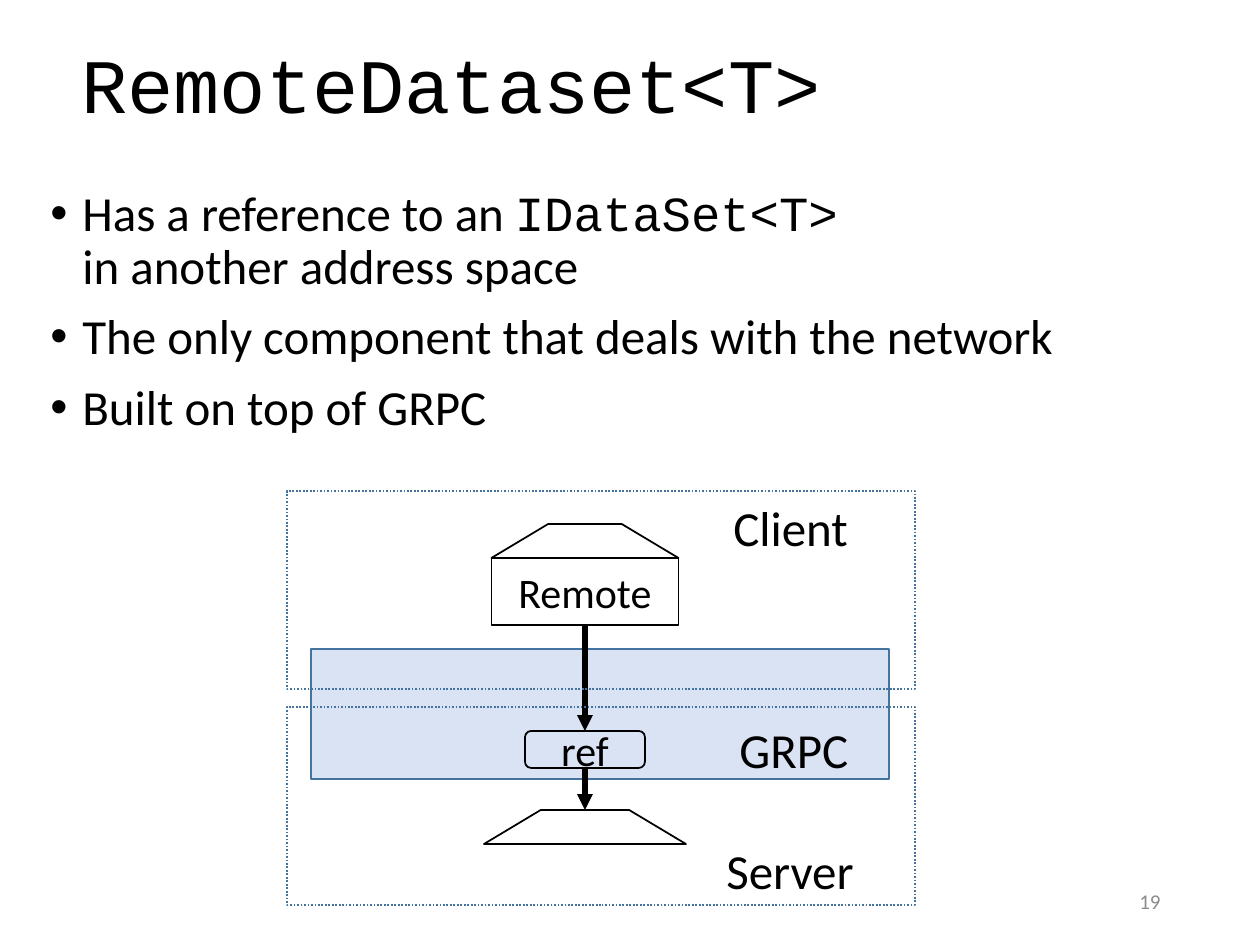
"""Build the RemoteDataset<T> slide: three bullets above a client/server diagram."""
from lxml.etree import SubElement
from pptx import Presentation
from pptx.dml.color import RGBColor
from pptx.enum.dml import MSO_LINE_DASH_STYLE as Dash
from pptx.enum.shapes import MSO_CONNECTOR_TYPE as Connector, MSO_SHAPE as Shape
from pptx.enum.text import MSO_ANCHOR as Anchor, PP_ALIGN as Align
from pptx.oxml.ns import qn
from pptx.util import Emu, Pt

COLORS = {"ink": "000000", "muted": "8C8C8C", "edge": "43739E", "band": "DAE3F3"}
SANS, MONO = "Calibri", "Courier New"
EMU_PER_PX = 914400 / 126
AXIS = 585
INDENT = 32

TITLE = "RemoteDataset<T>"
BULLETS = [
    [("Has a reference to an ", SANS), ("IDataSet<T>\v", MONO), ("in another address space", SANS)],
    [("The only component that deals with the network", SANS)],
    [("Built on top of GRPC", SANS)],
]
NODES = [
    (Shape.TRAPEZOID, 524, 187, 34, ""),
    (Shape.RECTANGLE, 558, 187, 67, "Remote"),
    (Shape.ROUNDED_RECTANGLE, 731, 120, 37, "ref"),
    (Shape.TRAPEZOID, 810, 202, 34, ""),
]
ARROWS = [(625, 731), (768, 810)]
ZONE_TOPS = [491, 707]
LABELS = [("Client", 721, 491, 141), ("GRPC", 727, 713, 135), ("Server", 714, 834, 154)]


def px(length):
    return Emu(round(length * EMU_PER_PX))


def color(name):
    return RGBColor.from_string(COLORS[name])


def style(font, size, name=SANS, ink="ink"):
    font.size, font.name = Pt(size), name
    font.color.rgb = color(ink)


def add_text(page, text, area, size, name=SANS, ink="ink", wrap=True, anchor=Anchor.TOP):
    frame = page.shapes.add_textbox(*map(px, area)).text_frame
    frame.word_wrap, frame.vertical_anchor = wrap, anchor
    para = frame.paragraphs[0]
    para.text = text
    style(para.font, size, name, ink)
    return para


def add_bullets(page):
    frame = page.shapes.add_textbox(*map(px, (38, 183, 1208, 575))).text_frame
    frame.word_wrap = True
    for index, parts in enumerate(BULLETS):
        para = frame.add_paragraph() if index else frame.paragraphs[0]
        para.line_spacing = 0.9
        if index:
            para.space_before = Pt(10)
        props = para._p.get_or_add_pPr()
        props.set("marL", str(px(INDENT)))
        props.set("indent", str(px(-INDENT)))
        SubElement(props, qn("a:buFont"), typeface="Arial")
        SubElement(props, qn("a:buChar"), char="•")
        for text, name in parts:
            span = para.add_run()
            span.text = text.rstrip("\v")
            style(span.font, 28, name)
            if text.endswith("\v"):
                para.add_line_break()


def add_box(page, kind, area, edge="ink", fill=None, dash=None):
    box = page.shapes.add_shape(kind, *map(px, area))
    box.shadow.inherit = False
    if fill:
        box.fill.solid()
        box.fill.fore_color.rgb = color(fill)
    else:
        box.fill.background()
    box.line.color.rgb = color(edge)
    box.line.width = Pt(1)
    if dash:
        box.line.dash_style = dash
    return box


def add_node(page, kind, top, width, height, text):
    box = add_box(page, kind, (AXIS - width / 2, top, width, height))
    if kind == Shape.TRAPEZOID:
        box.adjustments[0] = 1.67
    if text:
        frame = box.text_frame
        frame.word_wrap, frame.vertical_anchor = False, Anchor.MIDDLE
        para = frame.paragraphs[0]
        para.text, para.alignment = text, Align.CENTER
        style(para.font, 24)


def add_arrow(page, start, end):
    arrow = page.shapes.add_connector(Connector.STRAIGHT, *map(px, (AXIS, start, AXIS, end)))
    arrow.line.color.rgb = color("ink")
    arrow.line.width = Pt(3)
    SubElement(arrow.line._get_or_add_ln(), qn("a:tailEnd"), type="triangle")
    SubElement(arrow._element.spPr, qn("a:effectLst"))


def main():
    deck = Presentation()
    deck.slide_width, deck.slide_height = px(1260), px(945)
    page = deck.slides.add_slide(deck.slide_layouts[6])

    title = add_text(page, TITLE, (69, 35, 815, 106), 44, MONO, anchor=Anchor.MIDDLE)
    title.line_spacing = 0.9
    add_bullets(page)
    number = add_text(page, "19", (890, 876, 283, 50), 12, ink="muted", anchor=Anchor.MIDDLE)
    number.alignment = Align.RIGHT

    add_box(page, Shape.RECTANGLE, (311, 649, 578, 130), "edge", "band")
    for node in NODES:
        add_node(page, *node)
    for start, end in ARROWS:
        add_arrow(page, start, end)
    for top in ZONE_TOPS:
        add_box(page, Shape.RECTANGLE, (287, top, 628, 198), "edge", dash=Dash.ROUND_DOT)
    for text, left, top, width in LABELS:
        add_text(page, text, (left, top, width, 72), 28, wrap=False)
    deck.save("out.pptx")


if __name__ == "__main__":
    main()
